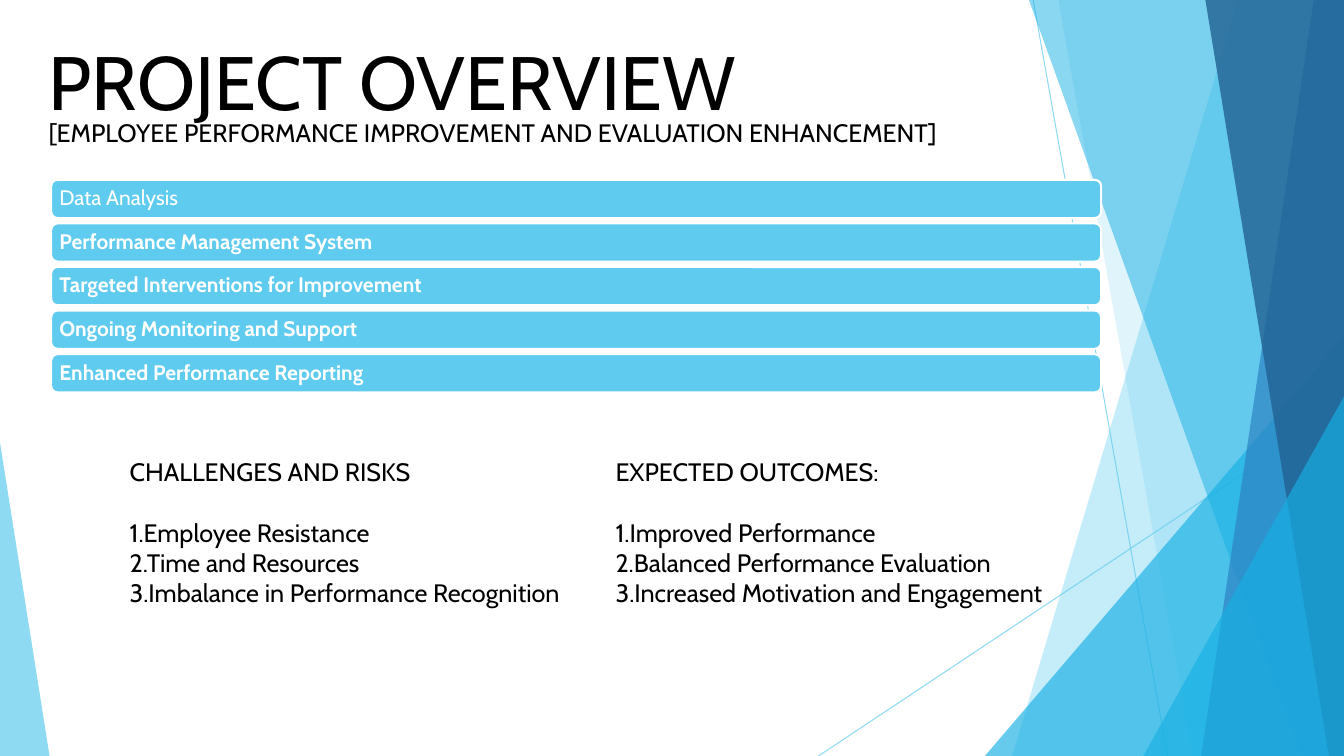
from dataclasses import dataclass

from pptx import Presentation
from pptx.dml.color import RGBColor
from pptx.enum.shapes import MSO_CONNECTOR, MSO_SHAPE
from pptx.enum.text import MSO_ANCHOR, MSO_AUTO_SIZE, PP_ALIGN
from pptx.oxml.ns import qn
from pptx.oxml.xmlchemy import OxmlElement
from pptx.util import Pt

ROUND, TRI = MSO_SHAPE.ROUNDED_RECTANGLE, MSO_SHAPE.ISOSCELES_TRIANGLE
LINE = MSO_CONNECTOR.STRAIGHT
TOP, MID = MSO_ANCHOR.TOP, MSO_ANCHOR.MIDDLE
LEFT, FIXED = PP_ALIGN.LEFT, MSO_AUTO_SIZE.NONE

COLS, ROWS = 160, 90
CELL = Pt(6)


@dataclass(frozen=True)
class Theme:
    font: str = "Cabin"
    ink: str = "000000"
    paper: str = "FFFFFF"
    sky: str = "5FCBEF"
    cyan: str = "17B0E4"
    blue: str = "2E83C3"
    navy: str = "226292"
    head: int = 54
    body: int = 18
    label: int = 15


def grid(*cells):
    """Turn columns and rows into slide lengths."""
    return [round(n * CELL) for n in cells]


def fade(shape, share):
    """Set the opacity, in percent, of every colour of a shape."""
    for color in shape._element.spPr.iter(qn("a:srgbClr")):
        alpha = OxmlElement("a:alpha")
        alpha.set("val", str(share * 1000))
        color.append(alpha)


class Page:
    def __init__(self, slide, theme):
        self.slide, self.theme = slide, theme
        self.shapes = slide.shapes

    def paint(self, shape, color, share=100):
        shape.shadow.inherit = False
        shape.fill.solid()
        shape.fill.fore_color.rgb = RGBColor.from_string(color)
        shape.line.fill.background()
        if share < 100:
            fade(shape, share)

    def ray(self, *ends):
        line = self.shapes.add_connector(LINE, *grid(*ends))
        line.line.width = Pt(0.75)
        line.line.color.rgb = RGBColor.from_string(self.theme.sky)
        line._element.spPr.append(OxmlElement("a:effectLst"))
        fade(line, 70)

    def band(self, top, foot, color, share):
        """Draw a full-height band from a slanted left edge to the right side."""
        points = [(top, 0), (COLS, 0), (COLS, ROWS), (foot, ROWS)]
        first, *rest = [grid(*point) for point in points]
        outline = self.shapes.build_freeform(*first)
        outline.add_line_segments(rest, close=True)
        self.paint(outline.convert_to_shape(), color, share)

    def wedge(self, left, top, width, peak, color, share):
        """Draw a triangle standing on the slide's foot."""
        shape = self.shapes.add_shape(TRI, *grid(left, top, width, ROWS - top))
        shape.adjustments[0] = peak
        self.paint(shape, color, share)

    def fill(self, shape, lines, size, color, bold=False, **frame):
        """Put lines of styled text into a shape."""
        text = shape.text_frame
        text.text = "\n".join(lines)
        style = {"word_wrap": True, "auto_size": FIXED, "vertical_anchor": TOP}
        for name, value in (style | frame).items():
            setattr(text, name, value)
        font = {"name": self.theme.font, "size": Pt(size), "bold": bold}
        for para in text.paragraphs:
            para.alignment = LEFT
            for name, value in font.items():
                setattr(para.font, name, value)
            para.font.color.rgb = RGBColor.from_string(color)
        return text

    def title(self, text, *box):
        shape = self.shapes.title
        shape.left, shape.top, shape.width, shape.height = grid(*box)
        self.fill(shape, [text], self.theme.head, self.theme.ink)

    def text(self, lines, *box):
        shape = self.shapes.add_textbox(*grid(*box))
        return self.fill(shape, lines, self.theme.body, self.theme.ink)

    def bar(self, label, bold, *box):
        shape = self.shapes.add_shape(ROUND, *grid(*box))
        self.paint(shape, self.theme.sky)
        shape.line.color.rgb = RGBColor.from_string(self.theme.paper)
        shape.line.width = Pt(1.5)
        pad = Pt(4.5)
        text = self.fill(shape, [label], self.theme.label, self.theme.paper,
                         bold, vertical_anchor=MID, margin_left=pad,
                         margin_right=pad, margin_top=0, margin_bottom=0)
        text.paragraphs[0].line_spacing = 0.9

    def points(self, head, items, *box):
        rows = [f"{n}.{item}" for n, item in enumerate(items, 1)]
        text = self.text([head, *rows], *box)
        text.paragraphs[0].space_after = Pt(21.7)


def main():
    deck = Presentation()
    deck.slide_width, deck.slide_height = grid(COLS, ROWS)
    look = Theme()
    page = Page(deck.slides.add_slide(deck.slide_layouts[5]), look)

    page.ray(123, 0, 139, ROWS)
    page.ray(COLS, 48.4, 97.45, ROWS)
    page.band(147.4, 120.5, look.sky, 36)
    page.band(126, 142, look.sky, 20)
    page.wedge(117.25, 40, 42.75, 1, look.cyan, 66)
    page.band(122.5, 154.9, look.cyan, 50)
    page.band(156.4, 143, look.blue, 70)
    page.band(143.5, 158.2, look.navy, 80)
    page.wedge(136.1, 47.2, 23.9, 1, look.cyan, 66)
    page.wedge(0, 52.7, 5.9, 0, look.sky, 70)

    page.title("PROJECT OVERVIEW", 4.6, 3.6, 93.7, 12.1)
    page.text(["[EMPLOYEE PERFORMANCE IMPROVEMENT AND EVALUATION ENHANCEMENT]"],
              4.6, 13.35, 108.2, 4.8)

    steps = ["Data Analysis", "Performance Management System",
             "Targeted Interventions for Improvement",
             "Ongoing Monitoring and Support", "Enhanced Performance Reporting"]
    for n, step in enumerate(steps):
        page.bar(step, n > 0, 6.1, 21.4 + 5.19 * n, 125, 4.56)

    page.points("CHALLENGES AND RISKS",
                ["Employee Resistance", "Time and Resources",
                 "Imbalance in Performance Recognition"], 14.25, 53.75, 54.4, 26.6)
    page.points("EXPECTED OUTCOMES:",
                ["Improved Performance", "Balanced Performance Evaluation",
                 "Increased Motivation and Engagement"], 72.1, 53.75, 58.3, 23)
    deck.save("out.pptx")


if __name__ == "__main__":
    main()
